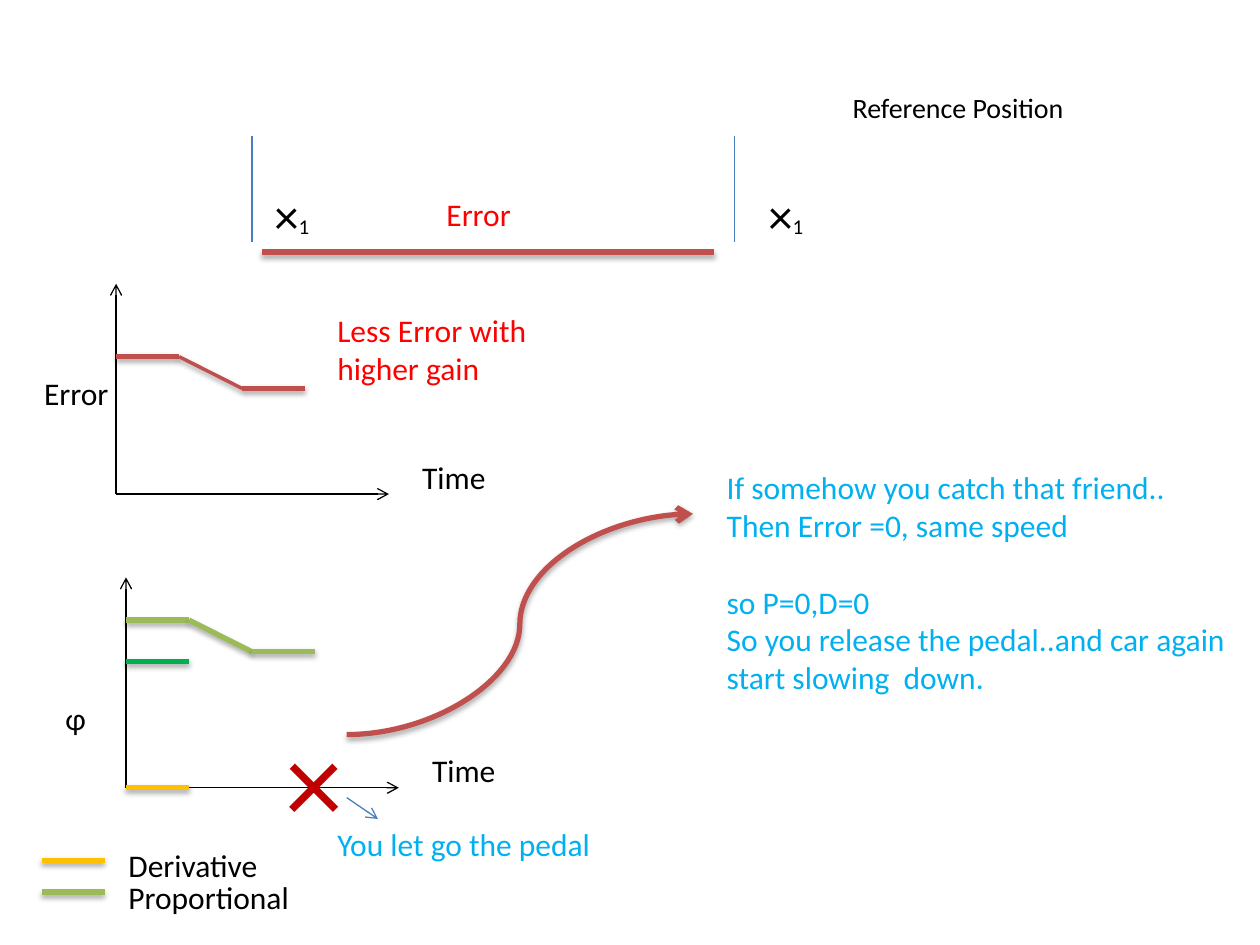
"""Slide on proportional and derivative error while following a reference position."""
from itertools import pairwise

from lxml import etree
from pptx import Presentation
from pptx.dml.color import RGBColor
from pptx.enum.shapes import MSO_CONNECTOR, MSO_SHAPE
from pptx.oxml import parse_xml
from pptx.oxml.ns import nsdecls, qn
from pptx.util import Cm, Pt

STRAIGHT, CURVE = MSO_CONNECTOR.STRAIGHT, MSO_CONNECTOR.CURVE
RECTANGLE = MSO_SHAPE.RECTANGLE
COLORS = {
    "black": "000000", "white": "FFFFFF", "red": "FF0000", "dark red": "C00000",
    "brick": "C0504D", "blue": "4B7EBC", "sky": "00B0F0", "green": "00B050",
    "olive": "9BBB59", "amber": "FFC000",
}
SHADOW = (
    f'<a:effectLst {nsdecls("a")}><a:outerShdw blurRad="{Pt(3.1)}" dist="{Pt(1.8)}" '
    'dir="5400000" rotWithShape="0"><a:srgbClr val="000000"><a:alpha val="35000"/>'
    '</a:srgbClr></a:outerShdw></a:effectLst>'
)


def rgb(name):
    return RGBColor.from_string(COLORS[name])


def add_text(text, x, y, w, h, size=18, color="black", wrap=True, sub="",
             gap_before=None, sp=None):
    sp = sp or s.shapes.add_textbox(Cm(x), Cm(y), Cm(w), Cm(h))
    tf = sp.text_frame
    tf.word_wrap = wrap
    for i, line in enumerate(text.split("\n")):
        p = tf.add_paragraph() if i else tf.paragraphs[0]
        if i == gap_before:
            p.space_before = Pt(22)
        for part, pts in ((line, size), (sub, 12)):
            if part:
                r = p.add_run()
                r.text = part
                r.font.name = "Calibri"
                r.font.size = Pt(pts)
                r.font.color.rgb = rgb(color)
    return sp


def add_line(start, end, color, width=3, arrow=False, kind=STRAIGHT):
    line = s.shapes.add_connector(kind, *map(Cm, start + end))
    line.line.color.rgb = rgb(color)
    line.line.width = Pt(width)
    if arrow:
        ln = line.line._get_or_add_ln()
        etree.SubElement(ln, qn("a:tailEnd"), type="arrow")
    props = line._element.spPr
    if width > 1:
        props.append(parse_xml(SHADOW))
    else:
        etree.SubElement(props, qn("a:effectLst"))


prs = Presentation()
prs.slide_width, prs.slide_height = Cm(25.4), Cm(19.05)
s = prs.slides.add_slide(prs.slide_layouts[6])

add_text("Reference Position", 16.94, 1.7, 4.88, 0.94, size=16)
for bar_x, label_x, label_w in ((5.08, 5.28, 1.7), (14.81, 15.24, 3.38)):
    add_line((bar_x, 2.74), (bar_x, 4.88), "blue", 0.75)
    add_text("×", label_x, 3.61, label_w, 1.45, size=28, sub="1")
add_line((5.28, 5.08), (14.4, 5.08), "brick")

error_box = s.shapes.add_shape(RECTANGLE, Cm(8.46), Cm(3.81), Cm(2.97), Cm(1.02))
error_box.shadow.inherit = False
error_box.fill.solid()
error_box.fill.fore_color.rgb = rgb("white")
error_box.line.color.rgb = rgb("white")
error_box.line.width = Pt(2)
tf = error_box.text_frame
tf.margin_left = Cm(0.54)
add_text("Error", 0, 0, 0, 0, color="red", sp=error_box)
tf.paragraphs[0].alignment = 1

STEPS = ((0, 0), (1.27, 0), (2.54, 0.64), (3.81, 0.64))
PLOTS = (
    (2.34, 9.96, 7.19, "brick", 2),
    (2.54, 15.88, 12.5, "olive", 3),
)
for x0, y0, curve_y, color, slope_width in PLOTS:
    add_line((x0, y0), (x0 + 5.5, y0), "black", 0.75, arrow=True)
    add_line((x0, y0), (x0, y0 - 4.24), "black", 0.75, arrow=True)
    add_text("Time", x0 + 5.92, y0 - 0.86, 1.8, 1.02, wrap=False)
    for (xa, ya), (xb, yb) in pairwise(STEPS):
        add_line((x0 + xa, curve_y + ya), (x0 + xb, curve_y + yb), color,
                 3 if ya == yb else slope_width)

for y, color in ((13.34, "green"), (15.88, "amber")):
    add_line((2.54, y), (3.81, y), color)
add_text("Error", 0.64, 7.42, 1.83, 1.02, wrap=False)
add_text("ɸ", 1.07, 13.97, 0.94, 1.02)

LEGEND = (("Derivative", "amber", 3.15), ("Proportional", "olive", 3.78))
for i, (name, color, w) in enumerate(LEGEND):
    y = 17.35 + i * 0.63
    add_line((0.84, y), (2.11, y), color)
    add_text(name, 2.34, y - 0.41, w, 1.02, wrap=False)

add_text("Less Error with higher gain", 6.55, 6.15, 5.51, 1.8, color="red")
add_text("×", 5.51, 14.17, 1.68, 3.07, size=66, color="dark red", wrap=False)
add_text("You let go the pedal", 6.55, 16.51, 5.69, 1.02, color="sky", wrap=False)
add_line((6.99, 16.08), (7.62, 16.51), "blue", 0.75, arrow=True)
add_line((6.99, 14.81), (13.97, 10.36), "brick", arrow=True, kind=CURVE)
add_text(
    "If somehow you catch that friend..\nThen Error =0, same speed\nso P=0,D=0\n"
    "So you release the pedal..and car again start slowing  down.",
    14.4, 9.32, 10.59, 4.88, color="sky", gap_before=2)

prs.save("out.pptx")
